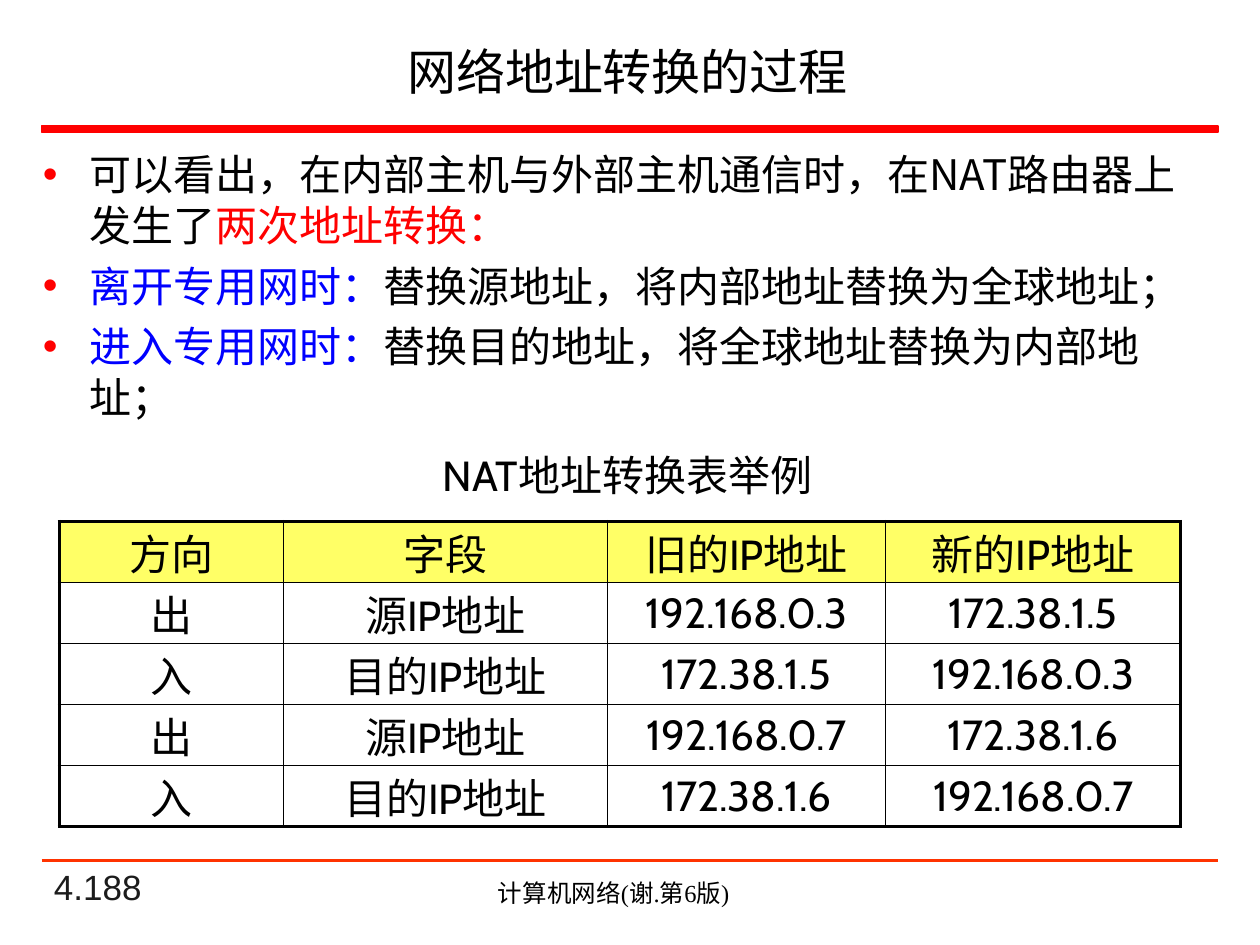
from lxml import etree
from pptx import Presentation
from pptx import util as u
from pptx.dml.color import RGBColor
from pptx.enum import shapes, text
from pptx.oxml.ns import qn

BLACK, RED, BLUE, YELLOW = "000000", "FF0000", "0000FF", "FFFF66"
CJK_FONT = "Noto Sans CJK SC"
BULLETS = [
    [("可以看出，在内部主机与外部主机通信时，在NAT路由器上发生了", BLACK), ("两次地址转换：", RED)],
    [("离开专用网时：", BLUE), ("替换源地址，将内部地址替换为全球地址；", BLACK)],
    [("进入专用网时：", BLUE), ("替换目的地址，将全球地址替换为内部地址；", BLACK)],
]
NAT_ROWS = [
    ["方向", "字段", "旧的IP地址", "新的IP地址"],
    ["出", "源IP地址", "192.168.0.3", "172.38.1.5"],
    ["入", "目的IP地址", "172.38.1.5", "192.168.0.3"],
    ["出", "源IP地址", "192.168.0.7", "172.38.1.6"],
    ["入", "目的IP地址", "172.38.1.6", "192.168.0.7"],
]
COLUMN_WIDTHS = [1.78, 2.57, 2.21, 2.34]


def color(value):
    """Return the colour for a hex string."""
    return RGBColor.from_string(value)


def inches(box):
    """Convert a sequence of numbers to lengths."""
    return [u.Inches(value) for value in box]


def place(shape, box):
    """Move a shape to its box."""
    shape.left, shape.top, shape.width, shape.height = inches(box)


def style(paragraph, size, font="Cabin", fill=BLACK, align=text.PP_ALIGN.CENTER):
    """Format a whole paragraph."""
    paragraph.alignment = align
    paragraph.font.size = u.Pt(size)
    paragraph.font.name = font
    paragraph.font.color.rgb = color(fill)
    properties = paragraph._p.pPr.find(qn("a:defRPr"))
    etree.SubElement(properties, qn("a:ea"), typeface=CJK_FONT)


def add_label(slide, box, words, size, anchor=text.MSO_ANCHOR.TOP, **formatting):
    """Add a one-line text box."""
    frame = slide.shapes.add_textbox(*inches(box)).text_frame
    frame.word_wrap = True
    frame.vertical_anchor = anchor
    frame.text = words
    style(frame.paragraphs[0], size, **formatting)


def add_title(slide, box):
    """Fill the title and draw the red bar under it."""
    title = slide.shapes.title
    place(title, box)
    title.text_frame.text = "网络地址转换的过程"
    title.text_frame.vertical_anchor = text.MSO_ANCHOR.MIDDLE
    style(title.text_frame.paragraphs[0], 28)
    bar = slide.shapes.add_shape(shapes.MSO_SHAPE.RECTANGLE, *inches((0.33, 1, 9.34, 0.05)))
    bar.shadow.inherit = False
    bar.fill.solid()
    bar.fill.fore_color.rgb = color(RED)
    bar.line.color.rgb = color(RED)
    bar.line.width = u.Pt(1)


def add_bullets(slide, box):
    """Fill the body with the bulleted list."""
    body = slide.placeholders[1]
    place(body, box)
    frame = body.text_frame
    frame.auto_size = text.MSO_AUTO_SIZE.NONE
    for index, runs in enumerate(BULLETS):
        paragraph = frame.add_paragraph() if index else frame.paragraphs[0]
        paragraph.level = min(index, 1)
        paragraph.space_before = u.Pt(6 if index else 0)
        properties = paragraph._p.get_or_add_pPr()
        properties.set("marL", str(u.Inches(0.38)))
        properties.set("indent", str(u.Inches(-0.37)))
        properties.set("hangingPunct", "0")
        bullet_color = etree.SubElement(properties, qn("a:buClr"))
        etree.SubElement(bullet_color, qn("a:srgbClr"), val=RED)
        etree.SubElement(properties, qn("a:buFont"), typeface="Arial")
        etree.SubElement(properties, qn("a:buChar"), char="•")
        style(paragraph, 24, CJK_FONT, align=text.PP_ALIGN.LEFT)
        for words, fill in runs:
            run = paragraph.add_run()
            run.text = words
            run.font.color.rgb = color(fill)


def set_borders(cell, widths):
    """Draw black cell borders from widths keyed by side."""
    properties = cell._tc.get_or_add_tcPr()
    for index, (side, width) in enumerate(widths.items()):
        line = etree.Element(qn(f"a:ln{side}"), w=str(u.Pt(width)))
        fill = etree.SubElement(line, qn("a:solidFill"))
        etree.SubElement(fill, qn("a:srgbClr"), val=BLACK)
        properties.insert(index, line)


def add_nat_table(slide, box):
    """Add the NAT table with a heavy outer frame."""
    last_row, last_column = len(NAT_ROWS) - 1, len(COLUMN_WIDTHS) - 1
    table = slide.shapes.add_table(last_row + 1, last_column + 1, *inches(box)).table
    table.first_row = table.horz_banding = False
    for column, width in zip(table.columns, inches(COLUMN_WIDTHS)):
        column.width = width
    for r, values in enumerate(NAT_ROWS):
        for c, value in enumerate(values):
            cell = table.cell(r, c)
            cell.text = value
            cell.vertical_anchor = text.MSO_ANCHOR.MIDDLE
            cell.margin_left = cell.margin_right = u.Inches(0.07)
            cell.margin_top = cell.margin_bottom = 0
            style(cell.text_frame.paragraphs[0], 24)
            if r == 0:
                cell.fill.solid()
                cell.fill.fore_color.rgb = color(YELLOW)
            else:
                cell.fill.background()
            outer = {"L": c == 0, "R": c == last_column, "T": r == 0, "B": r == last_row}
            set_borders(cell, {side: 2.25 if edge else 1 for side, edge in outer.items()})


def add_footer(slide, box):
    """Add the rule, page number and course name."""
    left, top, width, height = box
    rule = slide.shapes.add_connector(
        shapes.MSO_CONNECTOR.STRAIGHT, *inches((left, top, left + width, top)))
    rule.line.color.rgb = color("FF3300")
    rule.line.width = u.Pt(1.5)
    etree.SubElement(rule._element.spPr, qn("a:effectLst"))
    add_label(slide, (left, top + 0.09, 2.08, height), "4.188", 20, text.MSO_ANCHOR.BOTTOM,
              font="Arial", fill="1C1C1C", align=text.PP_ALIGN.LEFT)
    add_label(slide, (left + 2.5, top + 0.09, 4.08, height), "计算机网络(谢.第6版)", 14,
              font="Times New Roman")


def main():
    """Build the slide and save it."""
    presentation = Presentation()
    presentation.slide_width, presentation.slide_height = inches((10, 7.5))
    slide = presentation.slides.add_slide(presentation.slide_layouts[1])
    add_title(slide, (0.36, 0.22, 9.24, 0.69))
    add_bullets(slide, (0.23, 1.13, 9.53, 2.31))
    add_label(slide, (3.2, 3.52, 3.56, 0.5), "NAT地址转换表举例", 24)
    add_nat_table(slide, (0.47, 4.14, 8.9, 2.42))
    add_footer(slide, (0.33, 6.83, 9.34, 0.33))
    presentation.save("out.pptx")


if __name__ == "__main__":
    main()
